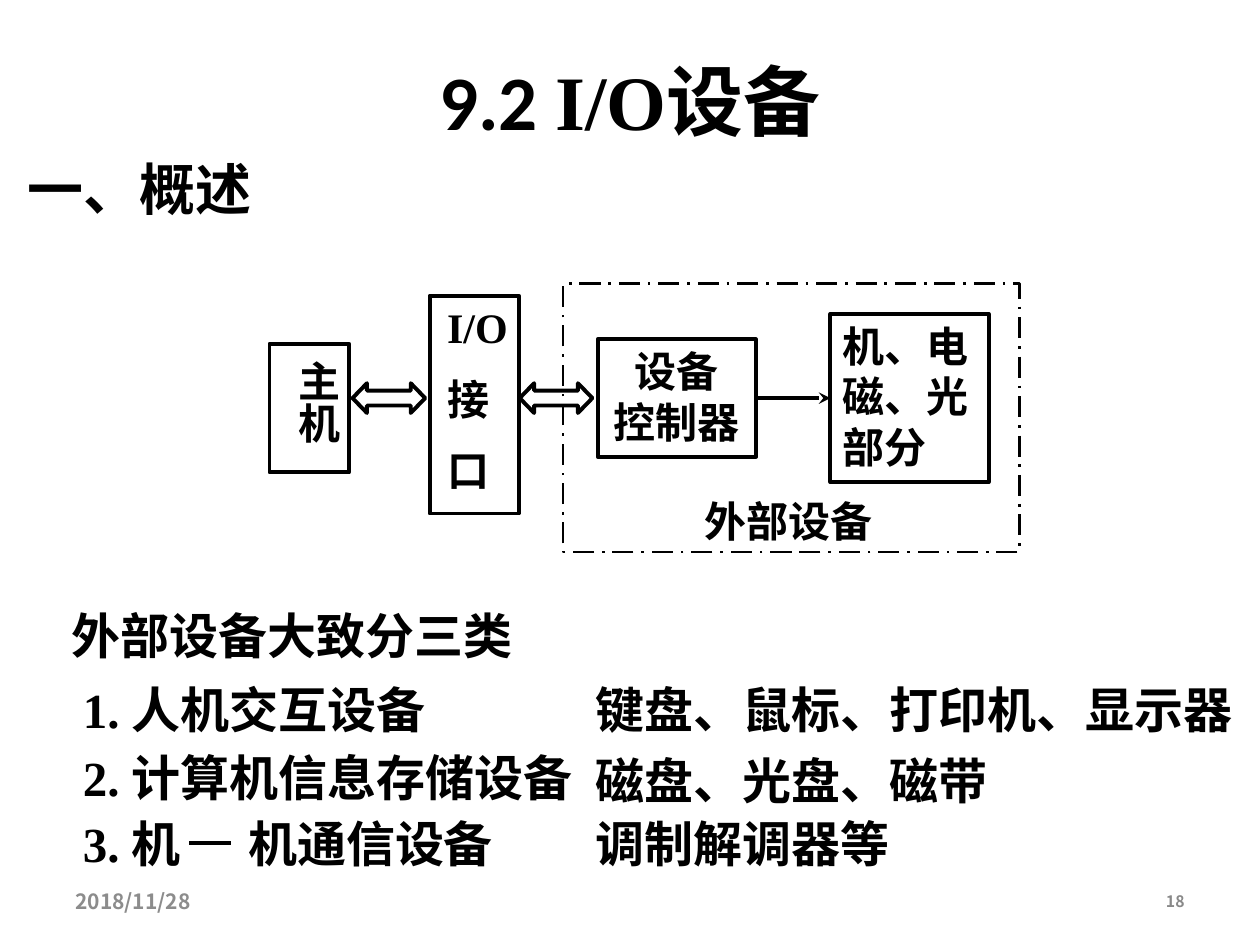
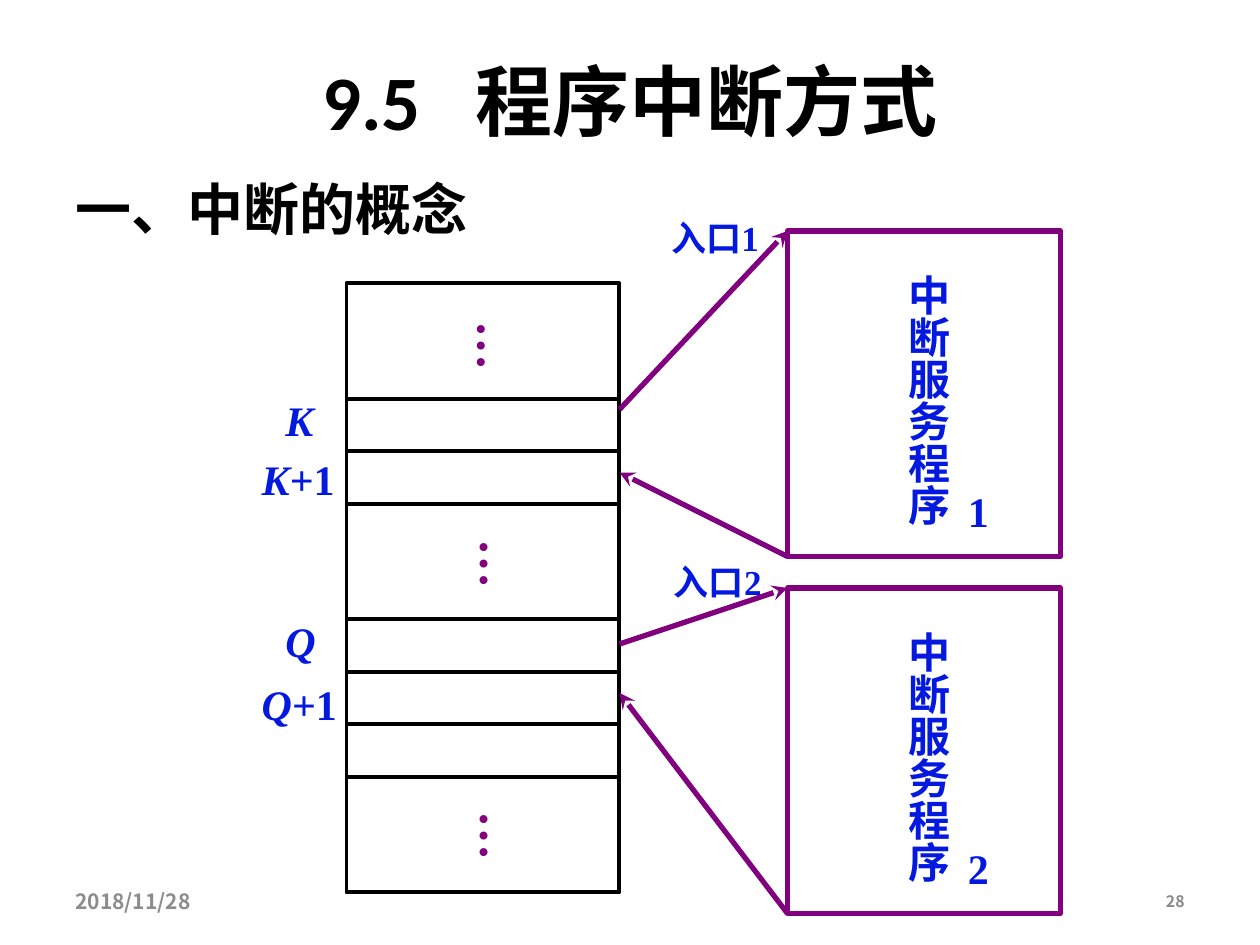
from lxml import etree
from pptx import Presentation
from pptx.dml.color import RGBColor
from pptx.enum.dml import MSO_LINE
from pptx.enum.shapes import MSO_CONNECTOR, MSO_SHAPE
from pptx.enum.text import MSO_ANCHOR, MSO_AUTO_SIZE, PP_ALIGN
from pptx.oxml.ns import qn
from pptx.util import Pt

RECT, ARROW = MSO_SHAPE.RECTANGLE, MSO_SHAPE.LEFT_RIGHT_ARROW
STRAIGHT, DASH = MSO_CONNECTOR.STRAIGHT, MSO_LINE.LONG_DASH_DOT
TOP, MIDDLE = MSO_ANCHOR.TOP, MSO_ANCHOR.MIDDLE
FIT, GROW = MSO_AUTO_SIZE.NONE, MSO_AUTO_SIZE.SHAPE_TO_FIT_TEXT
LEFT, CENTER, RIGHT = PP_ALIGN.LEFT, PP_ALIGN.CENTER, PP_ALIGN.RIGHT
COLORS = {"black": "000000", "blue": "0419E0", "plum": "800080",
          "date": "8C8C8C", "page": "898989"}
TIMES, CALIBRI, NOTO = "Times New Roman", "Calibri", "Noto Sans CJK SC"
# Chinese glyphs stay sans serif next to Times
EAST = {TIMES: CALIBRI, CALIBRI: CALIBRI, NOTO: NOTO}


def put(page, box, lines=(), size=24, color="black", edge=0, kind=RECT,
        font=TIMES, align=LEFT, gap=0, vert=False, frame=None):
    """Add a text box, or an outlined shape if edge is set.

    A line is a string or a list of (text, format) runs.
    """
    box = [Pt(n) for n in box]
    if edge:
        shape = page.shapes.add_shape(kind, *box)
        shape.shadow.inherit = False
        shape.fill.background()
        shape.line.width = Pt(edge)
        shape.line.color.rgb = RGBColor.from_string(COLORS[color])
    else:
        shape = page.shapes.add_textbox(*box)
    if not lines:
        return shape
    area = shape.text_frame
    look = {"word_wrap": True, "auto_size": GROW,
            "vertical_anchor": TOP, **(frame or {})}
    for key, val in look.items():
        setattr(area, key, val)
    if vert:
        area._txBody.bodyPr.set("vert", "eaVert")
    for i, line in enumerate(lines):
        para = area.add_paragraph() if i else area.paragraphs[0]
        para.alignment = align
        if i and gap:
            para.space_before = Pt(gap)
        for text, extra in [(line, {})] if isinstance(line, str) else line:
            run = para.add_run()
            run.text = text
            run.font.color.rgb = RGBColor.from_string(COLORS[color])
            style = {"name": font, "size": Pt(size), "bold": True, **extra}
            for key, val in style.items():
                setattr(run.font, key, val)
            east = etree.SubElement(run._r.get_or_add_rPr(), qn("a:ea"))
            east.set("typeface", EAST[style["name"]])
    return shape


def link(page, ends, color="black", width=2.25, head=True):
    """Draw a straight line from x1, y1 to x2, y2."""
    line = page.shapes.add_connector(STRAIGHT, *[Pt(n) for n in ends])
    line.line.width = Pt(width)
    line.line.color.rgb = RGBColor.from_string(COLORS[color])
    if head:
        tip = etree.SubElement(line.line._get_or_add_ln(), qn("a:tailEnd"))
        tip.set("type", "stealth")
    etree.SubElement(line._element.spPr, qn("a:effectLst"))
    return line


deck = Presentation()
deck.slide_width, deck.slide_height = Pt(720), Pt(540)
FIXED = {"auto_size": FIT, "vertical_anchor": MIDDLE}
LOOSE = {"word_wrap": False}

# Title, date and page number on both slides
pages = []
for title, number in (
        ([("9.2 ", {}), ("I/O", {"name": TIMES}), ("设备", {})], "18"),
        ([("9.5", {}), ("　", {"size": Pt(31)}), ("程序中断方式", {})], "28")):
    page = deck.slides.add_slide(deck.slide_layouts[6])
    put(page, (54, 12, 612, 90), [title], 44, font=CALIBRI, align=CENTER,
        frame=FIXED)
    put(page, (36, 500.5, 168, 28.75), ["2018/11/28"], 12, "date",
        font=NOTO, frame=FIXED)
    put(page, (516, 500.5, 168, 28.75), [number], 9, "page",
        font=NOTO, align=RIGHT, frame=FIXED)
    pages.append(page)
first, second = pages

# Slide 1: block diagram
put(first, (8.5, 84.5, 186, 45.5), ["一、概述"], 32)
put(first, (154, 196.5, 45.5, 73.5), ["主机"], edge=2.25, vert=True,
    frame={"margin_top": Pt(9.4)})
unit = put(first, (341.5, 194, 90.5, 67), ["设备", "控制器"],
           edge=2.25, align=CENTER)
parts = put(first, (474.5, 179.5, 90.5, 96), ["机、电", "磁、光", "部分"],
            edge=2.25)
put(first, (245.5, 169, 51, 124.5), ["I/O", "接", "口"], edge=2.25, gap=12,
    frame={"margin_left": Pt(10), "margin_right": Pt(4.4)})
outer = put(first, (321.8, 162.2, 260.7, 153.3), edge=1.5)
outer.line.dash_style = DASH
put(first, (395.5, 279.5, 164, 36), ["外部设备"])
wire = link(first, (432, 227.5, 474.5, 227.5))
wire.begin_connect(unit, 3)
wire.end_connect(parts, 1)
for left in (297, 201.5):
    arrow = put(first, (left, 219, 41.5, 17), edge=2.25, kind=ARROW)
    arrow.adjustments[0], arrow.adjustments[1] = 0.5, 0.484

# Slide 1: three classes of devices
put(first, (34, 342.5, 348, 41), ["外部设备大致分三类"], 28)
for top, low, name, sample in (
        (385, 385, "1. 人机交互设备", "键盘、鼠标、打印机、显示器"),
        (423.5, 425.5, "2. 计算机信息存储设备", "磁盘、光盘、磁带"),
        (461.5, 461.5, "3. 机\t机通信设备", "调制解调器等")):
    item = put(first, (40.3, top, 330, 41), [name], 28)
    put(first, (333.5, low, 396, 41), [sample], 28)
tabs = etree.SubElement(item.text_frame.paragraphs[0]._p.get_or_add_pPr(),
                        qn("a:tabLst"))
stop = etree.SubElement(tabs, qn("a:tab"))
stop.set("pos", str(Pt(94.5)))
stop.set("algn", "l")
link(first, (108, 481.7, 132, 481.7), head=False)

# Slide 2: main program as stacked cells
put(second, (36, 96, 290, 45.5), ["一、中断的概念"], 32)
top = 162
for high in (66, 30, 30, 66, 30, 30, 30, 66):
    put(second, (198, top, 156, high), edge=2.25)
    top += high
for left, top in ((256.5, 176.5), (258, 301), (258, 456.5)):
    put(second, (left, top, 48, 35.5), ["…"], 28, "plum", vert=True,
        frame=LOOSE)
for top, below, name in ((222, 255.5, "K"), (348, 384, "Q")):
    sign = (name, {"italic": True})
    put(second, (156, top, 32, 36), [[sign]], color="blue", frame=LOOSE)
    put(second, (142.5, below, 66, 36), [[sign, ("+1", {})]], color="blue",
        frame=LOOSE)

# Slide 2: service routines
for i, digit in enumerate("12"):
    top = 132 + 204 * i
    put(second, (450, top, 156, 186), color="plum", edge=3)
    put(second, (504.5, top + 18, 44, 150.5), ["中断服务程序"],
        color="blue", vert=True, frame=LOOSE)
    put(second, (546, top + 142, 27, 36), [digit], color="blue",
        frame=LOOSE)

# Slide 2: jumps to the entries and returns
for ends in ((354, 234, 450, 132), (450, 318, 354, 270),
             (354, 368, 450, 336), (450, 522, 354, 396)):
    link(second, ends, "plum", 3)
put(second, (376.5, 120, 65, 31), ["入口1"], 20, "blue")
put(second, (378, 317, 84, 31), ["入口2"], 20, "blue")

deck.save("out.pptx")
